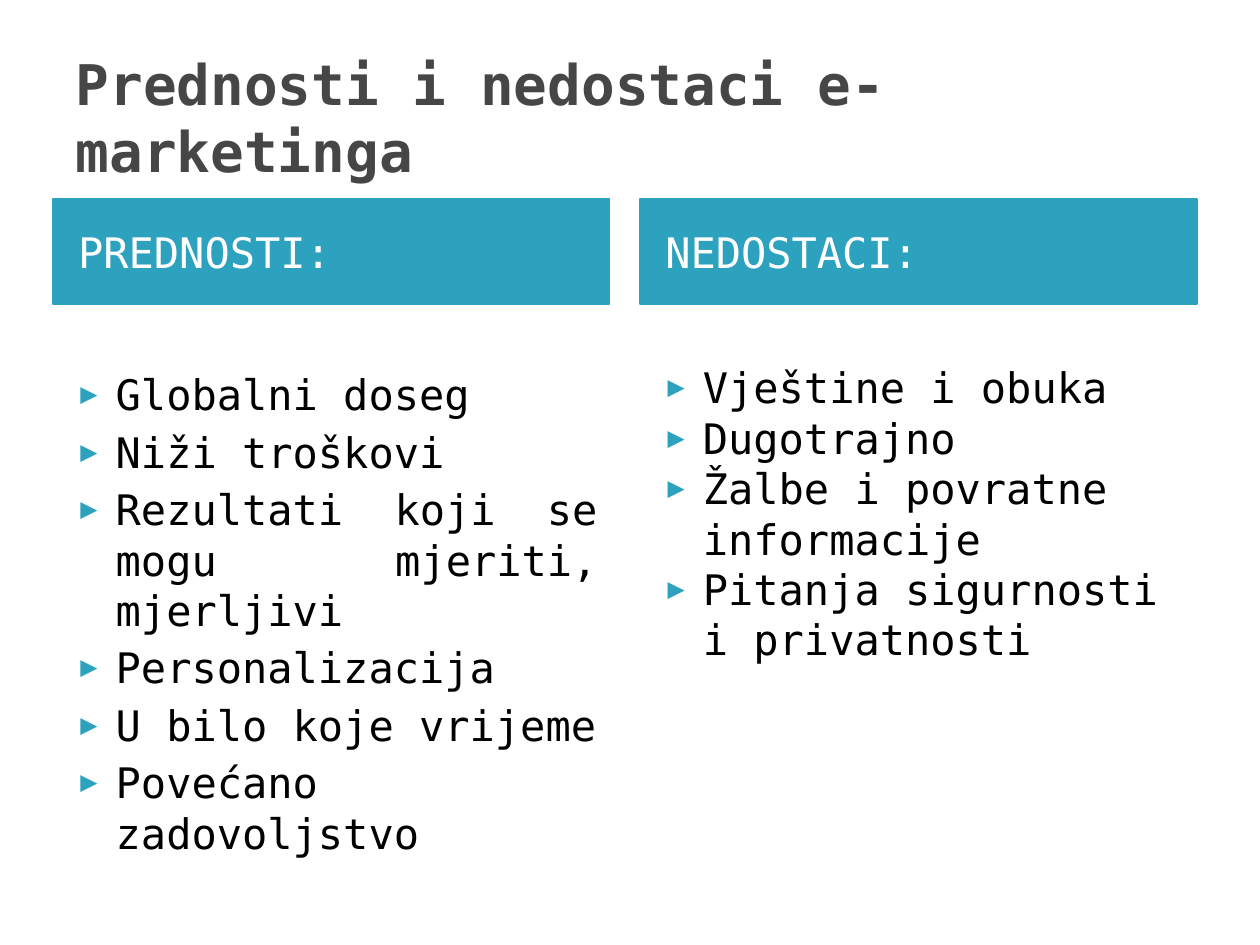
from lxml import etree
from pptx import Presentation
from pptx.dml.color import RGBColor
from pptx.enum import shapes, text
from pptx.oxml import ns
from pptx.util import Pt

FONT = "DejaVu Sans Mono"
TEAL = RGBColor(0x2D, 0xA2, 0xBF)
GREY = RGBColor(0x46, 0x46, 0x46)
WHITE = RGBColor(0xFF, 0xFF, 0xFF)
BLACK = RGBColor(0, 0, 0)

WIDTH = 318.24
HEAD_TOP, HEAD_TALL = 113.76, 60
BODY_TOP, BODY_TALL = 174.24, 310.32

# heading, left edge, top inset, alignment, space between items, items
COLUMNS = [
    ("PREDNOSTI:", 30.24, 36.5, text.PP_ALIGN.JUSTIFY, 4,
     ["Globalni doseg", "Niži troškovi",
      "Rezultati koji se mogu mjeriti, mjerljivi",
      "Personalizacija", "U bilo koje vrijeme",
      "Povećano zadovoljstvo"]),
    ("NEDOSTACI:", 365.76, 32.5, text.PP_ALIGN.LEFT, 0,
     ["Vještine i obuka", "Dugotrajno", "Žalbe i povratne informacije",
      "Pitanja sigurnosti i privatnosti"]),
]


def style(par, size, color, bold=False):
    for run in par.runs:
        font = run.font
        font.name, font.size, font.bold = FONT, Pt(size), bold
        font.color.rgb = color


def set_frame(frame, left, top, anchor):
    frame.word_wrap = True
    frame.auto_size = text.MSO_AUTO_SIZE.NONE
    frame.vertical_anchor = anchor
    frame.margin_left, frame.margin_top = Pt(left), Pt(top)
    frame.margin_right, frame.margin_bottom = Pt(7.2), Pt(3.6)


def add_bullet(par):
    props = par._p.get_or_add_pPr()
    props.set("marL", str(Pt(28.8)))
    props.set("indent", str(Pt(-20.16)))
    color = etree.SubElement(props, ns.qn("a:buClr"))
    etree.SubElement(color, ns.qn("a:srgbClr"), val=str(TEAL))
    etree.SubElement(props, ns.qn("a:buSzPct"), val="68000")
    etree.SubElement(props, ns.qn("a:buFont"), typeface=FONT)
    etree.SubElement(props, ns.qn("a:buChar"), char="▶")


def set_title(slide):
    title = slide.shapes.title
    title.left, title.top = Pt(36), Pt(21.6)
    title.width, title.height = Pt(648), Pt(90)
    frame = title.text_frame
    set_frame(frame, 7.2, 3.6, text.MSO_ANCHOR.MIDDLE)
    frame.text = "Prednosti i nedostaci e- marketinga"
    par = frame.paragraphs[0]
    par.alignment = text.PP_ALIGN.LEFT
    style(par, 32, GREY, bold=True)


def add_head(slide, label, left):
    head = slide.shapes.add_shape(
        shapes.MSO_SHAPE.RECTANGLE,
        Pt(left), Pt(HEAD_TOP), Pt(WIDTH), Pt(HEAD_TALL))
    head.shadow.inherit = False
    head.fill.solid()
    head.fill.fore_color.rgb = TEAL
    head.line.color.rgb = TEAL
    head.line.width = Pt(0.75)
    frame = head.text_frame
    set_frame(frame, 14.4, 3.6, text.MSO_ANCHOR.MIDDLE)
    frame.text = label
    par = frame.paragraphs[0]
    par.alignment = text.PP_ALIGN.LEFT
    style(par, 24, WHITE)


def add_list(slide, items, left, inset, align, gap):
    box = slide.shapes.add_textbox(
        Pt(left), Pt(BODY_TOP), Pt(WIDTH), Pt(BODY_TALL))
    frame = box.text_frame
    set_frame(frame, 7.2, inset, text.MSO_ANCHOR.TOP)
    frame.text = "\n".join(items)
    for i, par in enumerate(frame.paragraphs):
        par.alignment = align
        par.space_before = Pt(gap if i else 0)
        add_bullet(par)
        style(par, 24, BLACK)


def main():
    deck = Presentation()
    deck.slide_width, deck.slide_height = Pt(720), Pt(540)
    slide = deck.slides.add_slide(deck.slide_layouts[5])
    set_title(slide)
    for label, left, inset, align, gap, items in COLUMNS:
        add_head(slide, label, left)
        add_list(slide, items, left, inset, align, gap)
    deck.save("out.pptx")


if __name__ == "__main__":
    main()
